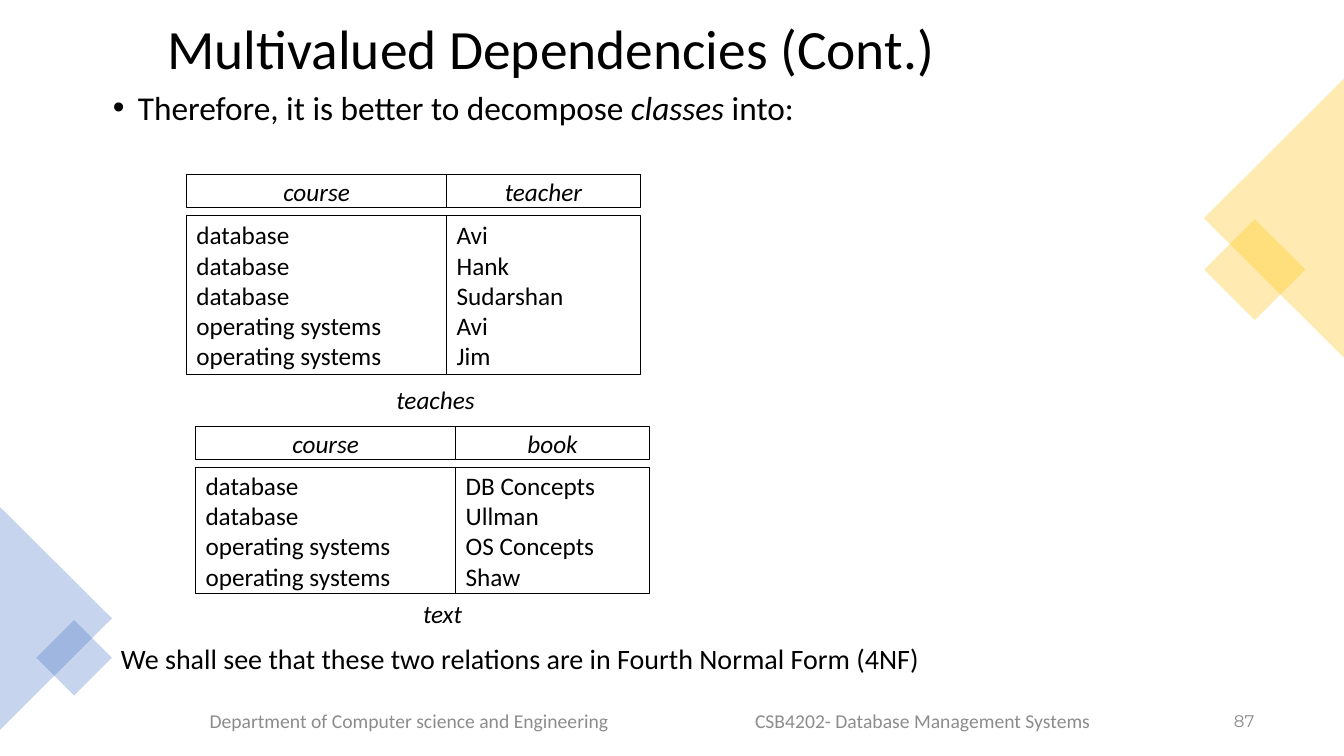
from dataclasses import dataclass

from lxml.etree import SubElement
from pptx import Presentation
from pptx.dml.color import RGBColor
from pptx.enum.shapes import MSO_SHAPE
from pptx.enum.text import MSO_ANCHOR, MSO_AUTO_SIZE, PP_ALIGN
from pptx.oxml.ns import qn
from pptx.util import Inches, Pt

COLOURS = {"ink": "000000", "paper": "FFFFFF", "footer": "8C8C8C",
           "gold": "FFC000", "blue": "4472C4"}
COLUMN_WIDTHS = (2.58, 1.92)
HEADER_HEIGHT = 0.33
BODY_OFFSET = 0.41
FORMATS = {
    "title": {"name": "Calibri", "size": Pt(39.6)},
    "bullet": {"name": "Calibri", "size": Pt(23.8)},
    "closing": {"name": "Calibri", "size": Pt(20)},
    "cell": {"name": "Calibri", "size": Pt(18)},
    "heading": {"name": "Calibri", "size": Pt(18), "italic": True},
    "footer": {"name": "Calibri", "size": Pt(14)},
    "number": {"name": "Montserrat", "size": Pt(12)},
}


@dataclass
class Place:
    """A box in inches."""
    left: float
    top: float
    width: float
    height: float

    def lengths(self):
        """Return the four lengths for a python-pptx call."""
        return [Inches(value) for value in (self.left, self.top, self.width, self.height)]


@dataclass
class Ornament:
    """A translucent shape at the slide edge."""
    kind: MSO_SHAPE
    place: Place
    rotation: int
    colour: str


@dataclass
class Label:
    """A plain line of text."""
    text: str
    place: Place
    style: str
    align: PP_ALIGN = PP_ALIGN.LEFT
    anchor: MSO_ANCHOR = MSO_ANCHOR.MIDDLE
    wrap: bool = True
    colour: str = "ink"


@dataclass
class Relation:
    """A two-column relation drawn as header and body boxes."""
    left: float
    top: float
    body_height: float
    columns: dict[str, list[str]]


ORNAMENTS = [
    Ornament(MSO_SHAPE.RECTANGLE, Place(12.09, 2.32, 0.71, 0.71), 45, "gold"),
    Ornament(MSO_SHAPE.ISOSCELES_TRIANGLE, Place(11.25, 1.47, 2.77, 1.39), 270, "gold"),
    Ornament(MSO_SHAPE.ISOSCELES_TRIANGLE, Place(-0.55, 5.58, 2.21, 1.11), 90, "blue"),
    Ornament(MSO_SHAPE.RECTANGLE, Place(0.47, 6.26, 0.53, 0.53), 45, "blue"),
]
RELATIONS = [
    Relation(1.85, 1.73, 1.58, {
        "course": ["database"] * 3 + ["operating systems"] * 2,
        "teacher": ["Avi", "Hank", "Sudarshan", "Avi", "Jim"]}),
    Relation(1.94, 4.23, 1.25, {
        "course": ["database"] * 2 + ["operating systems"] * 2,
        "book": ["DB Concepts", "Ullman", "OS Concepts", "Shaw"]}),
]
LABELS = [
    Label("teaches", Place(3.78, 3.76, 1.08, 0.4), "heading", PP_ALIGN.CENTER, wrap=False),
    Label("text", Place(4.09, 5.89, 0.6, 0.4), "heading", PP_ALIGN.CENTER, wrap=False),
    Label("We shall see that these two relations are in Fourth Normal Form (4NF)",
          Place(1.1, 6.31, 10.84, 0.58), "closing", anchor=MSO_ANCHOR.TOP),
    Label("Department of Computer science and Engineering",
          Place(1.98, 6.95, 4.6, 0.4), "footer", colour="footer"),
    Label("CSB4202- Database Management Systems",
          Place(7.39, 6.95, 4.2, 0.4), "footer", colour="footer"),
    Label("87", Place(11.82, 6.95, 0.72, 0.4), "number", PP_ALIGN.RIGHT, colour="footer"),
]


def rgb(name: str) -> RGBColor:
    """Look up a named colour."""
    return RGBColor.from_string(COLOURS[name])


def apply_format(font, style: str, colour: str = "ink") -> None:
    """Set the font attributes of a named style."""
    for attribute, value in FORMATS[style].items():
        setattr(font, attribute, value)
    font.color.rgb = rgb(colour)


def write_lines(frame, lines: list[str], style: str, align=PP_ALIGN.LEFT,
                anchor=MSO_ANCHOR.MIDDLE, wrap: bool = True, colour: str = "ink") -> None:
    """Write one paragraph per line into a text frame."""
    settings = {"word_wrap": wrap, "vertical_anchor": anchor, "auto_size": MSO_AUTO_SIZE.NONE}
    for attribute, value in settings.items():
        setattr(frame, attribute, value)
    for index, line in enumerate(lines):
        para = frame.add_paragraph() if index else frame.paragraphs[0]
        para.alignment = align
        span = para.add_run()
        span.text = line
        apply_format(span.font, style, colour)


def add_title(page, text: str) -> None:
    """Place and format the title placeholder."""
    title = page.shapes.title
    title.left, title.top, title.width, title.height = Place(1.56, 0.17, 10.26, 0.69).lengths()
    write_lines(title.text_frame, [text], "title")
    title.text_frame.paragraphs[0].line_spacing = 0.9


def add_ornament(page, ornament: Ornament) -> None:
    """Draw a rotated shape at 30 percent opacity."""
    shape = page.shapes.add_shape(ornament.kind, *ornament.place.lengths())
    shape.rotation = ornament.rotation
    shape.shadow.inherit = False
    shape.line.fill.background()
    shape.fill.solid()
    shape.fill.fore_color.rgb = rgb(ornament.colour)
    colour = next(shape.element.spPr.iter(qn("a:srgbClr")))
    SubElement(colour, qn("a:alpha"), val="30000")


def add_bullet(page, pieces: list[tuple[str, bool]]) -> None:
    """Write the bulleted sentence from (text, italic) pieces."""
    box = page.shapes.add_textbox(*Place(1.02, 0.89, 7.35, 0.58).lengths())
    box.text_frame.word_wrap = True
    para = box.text_frame.paragraphs[0]
    para.line_spacing = 0.8
    properties = para._p.get_or_add_pPr()
    properties.set("marL", str(Inches(0.25)))
    properties.set("indent", str(Inches(-0.25)))
    SubElement(properties, qn("a:buFont"), typeface="Arial")
    SubElement(properties, qn("a:buChar"), char="•")
    for text, italic in pieces:
        span = para.add_run()
        span.text = text
        apply_format(span.font, "bullet")
        span.font.italic = italic


def add_cell(page, place: Place, lines: list[str], style: str, align: PP_ALIGN) -> None:
    """Draw one outlined box of a relation."""
    cell = page.shapes.add_shape(MSO_SHAPE.RECTANGLE, *place.lengths())
    cell.shadow.inherit = False
    cell.fill.solid()
    cell.fill.fore_color.rgb = rgb("paper")
    cell.line.color.rgb = rgb("ink")
    cell.line.width = Pt(0.75)
    write_lines(cell.text_frame, lines, style, align)


def add_relation(page, relation: Relation) -> None:
    """Draw the header and body boxes of each column."""
    left = relation.left
    for width, (name, values) in zip(COLUMN_WIDTHS, relation.columns.items()):
        header = Place(left, relation.top, width, HEADER_HEIGHT)
        body = Place(left, relation.top + BODY_OFFSET, width, relation.body_height)
        add_cell(page, header, [name], "heading", PP_ALIGN.CENTER)
        add_cell(page, body, values, "cell", PP_ALIGN.LEFT)
        left += width


def add_label(page, label: Label) -> None:
    """Write a label in its own text box."""
    box = page.shapes.add_textbox(*label.place.lengths())
    write_lines(box.text_frame, [label.text], label.style, label.align,
                label.anchor, label.wrap, label.colour)


def main() -> None:
    """Build and save the slide."""
    deck = Presentation()
    deck.slide_width, deck.slide_height = Inches(13.33), Inches(7.5)
    page = deck.slides.add_slide(deck.slide_layouts.get_by_name("Title Only"))
    add_title(page, "Multivalued Dependencies (Cont.)")
    for ornament in ORNAMENTS:
        add_ornament(page, ornament)
    add_bullet(page, [("Therefore, it is better to decompose ", False),
                      ("classes ", True), ("into:", False)])
    for relation in RELATIONS:
        add_relation(page, relation)
    for label in LABELS:
        add_label(page, label)
    deck.save("out.pptx")


if __name__ == "__main__":
    main()
